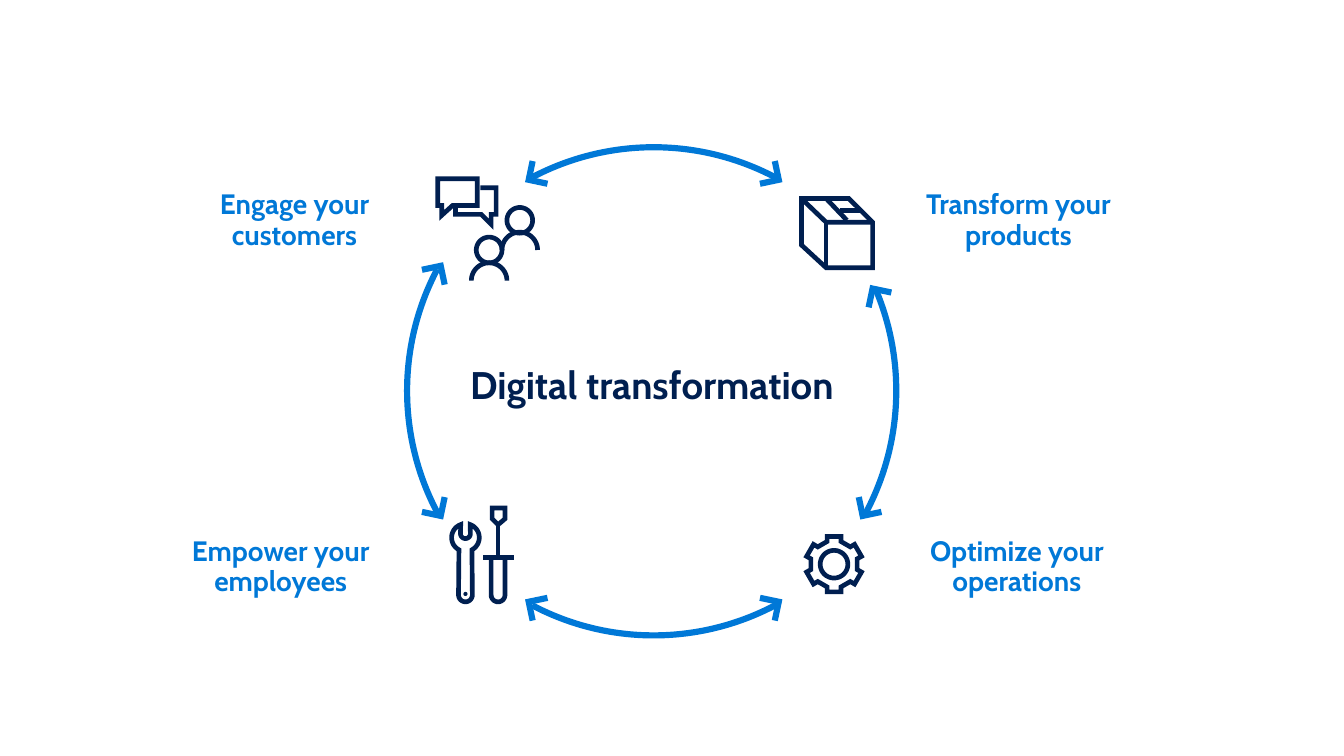
from math import cos, radians, sin

from lxml import etree
from pptx import Presentation
from pptx.dml.color import RGBColor
from pptx.enum.shapes import MSO_SHAPE
from pptx.enum.text import MSO_ANCHOR, MSO_AUTO_SIZE, PP_ALIGN
from pptx.oxml.ns import qn
from pptx.util import Inches, Pt

ARC = MSO_SHAPE.ARC
MIDDLE = MSO_ANCHOR.MIDDLE
CENTER = PP_ALIGN.CENTER
NO_FIT = MSO_AUTO_SIZE.NONE
COLORS = {"navy": "001F50", "blue": "0078D7"}
FONT = "Cabin"
TITLE_ONLY = 5
WIDTH, HEIGHT = 13.6, 7.65

deck = Presentation()
deck.slide_width, deck.slide_height = Inches(WIDTH), Inches(HEIGHT)
page = deck.slides.add_slide(deck.slide_layouts[TITLE_ONLY])


def arc_points(x, y, radius, start, end, step=6):
    """Points along a circular arc, in degrees clockwise from the right."""
    count = max(2, round(abs(end - start) / step))
    angles = [radians(start + (end - start) * i / count) for i in range(count + 1)]
    return [(x + radius * cos(a), y + radius * sin(a)) for a in angles]


def draw_outline(strokes, color, weight):
    """One unfilled shape made of (points, closed) strokes."""
    builder = None
    for points, closed in strokes:
        corners = [(Inches(x), Inches(y)) for x, y in points]
        if builder is None:
            builder = page.shapes.build_freeform(*corners[0])
        else:
            builder.move_to(*corners[0])
        builder.add_line_segments(corners[1:], close=closed)
    outline = builder.convert_to_shape()
    outline.shadow.inherit = False
    outline.fill.background()
    outline.line.color.rgb = RGBColor.from_string(COLORS[color])
    outline.line.width = Pt(weight)
    line_xml = outline.element.spPr.find(qn("a:ln"))
    etree.SubElement(line_xml, qn("a:miter"), lim="800000")


# Centre title and the four labels: text, left, top, width, height, size, color, insets
label_rows = (1.76, 5.27)
texts = [
    ("Digital transformation", 4.75, 3.34, 3.69, 1.16, 28, "navy", (0, 0)),
    ("Engage your customers", 1.78, label_rows[0], 2.4, 0.95, 20.4, "blue", (0.2, 0.16)),
    ("Empower your employees", 1.44, label_rows[1], 2.8, 0.95, 20.4, "blue", (0.2, 0.16)),
    ("Optimize your operations", 8.86, label_rows[1], 2.86, 0.95, 20.4, "blue", (0.2, 0.16)),
    ("Transform your products", 9.01, label_rows[0], 2.59, 0.95, 20.4, "blue", (0.2, 0.16)),
]
for text, left, top, width, height, size, color, (side, edge) in texts:
    place = [Inches(v) for v in (left, top, width, height)]
    is_title = color == "navy"
    box = page.shapes.title if is_title else page.shapes.add_textbox(*place)
    box.left, box.top, box.width, box.height = place
    frame = box.text_frame
    frame_format = {
        "word_wrap": not is_title, "auto_size": NO_FIT, "vertical_anchor": MIDDLE,
        "margin_left": Inches(side), "margin_right": Inches(side),
        "margin_top": Inches(edge), "margin_bottom": Inches(edge),
    }
    for name, value in frame_format.items():
        setattr(frame, name, value)
    para = frame.paragraphs[0]
    para.alignment, para.line_spacing = CENTER, 0.9
    span = para.add_run()
    span.text = text
    for name, value in {"name": FONT, "size": Pt(size), "bold": True}.items():
        setattr(span.font, name, value)
    span.font.color.rgb = RGBColor.from_string(COLORS[color])

# Ring of four arcs: left, top, start and end angle (0 to 360, clockwise from the right)
RING_SIZE = 5.27
ADJUSTMENT_PER_DEGREE = 0.6
ring_arcs = [
    (3.98, 1.49, 242.2, 298.6),
    (3.98, 1.16, 61.4, 117.8),
    (3.8, 1.32, 337, 28.6),
    (4.12, 1.32, 151.4, 207.8),
]
for left, top, start, end in ring_arcs:
    arc = page.shapes.add_shape(
        ARC, Inches(left), Inches(top), Inches(RING_SIZE), Inches(RING_SIZE))
    arc.shadow.inherit = False
    arc.fill.background()
    arc.line.color.rgb = RGBColor.from_string(COLORS["blue"])
    arc.line.width = Pt(4.5)
    for index, angle in enumerate((start, end)):
        arc.adjustments[index] = angle * ADJUSTMENT_PER_DEGREE

# Arrowheads: tip, side of the ring it faces (x, y), and whether its arc is a side arc
LONG, SHORT = 0.19, 0.04
arrow_tips = [
    (7.88, 1.82, 1, -1, False), (5.35, 1.82, -1, -1, False),
    (7.88, 6.09, 1, 1, False), (5.35, 6.09, -1, 1, False),
    (8.73, 5.22, 1, 1, True), (8.83, 2.92, 1, -1, True),
    (4.46, 5.22, -1, 1, True), (4.46, 2.69, -1, -1, True),
]
for x, y, face_x, face_y, on_side in arrow_tips:
    arms = [(-LONG, -SHORT), (-SHORT, LONG)]
    if on_side:
        arms = [(dy, dx) for dx, dy in arms]
    first, last = [(x + dx * face_x, y + dy * face_y) for dx, dy in arms]
    draw_outline([([first, (x, y), last], False)], "blue", 4.5)

# Customers: two people and two speech bubbles
people = []
for x, head_y, body_y in ((4.95, 2.53, 2.84), (5.26, 2.23, 2.53)):
    people.append((arc_points(x, head_y, 0.13, 0, 360), True))
    people.append((arc_points(x, body_y, 0.18, 180, 360), False))
front_bubble = [(4.43, 1.81), (4.83, 1.81), (4.83, 2.08), (4.58, 2.08),
                (4.47, 2.18), (4.47, 2.08), (4.43, 2.08)]
back_bubble = [(4.86, 1.9), (5.02, 1.9), (5.02, 2.17), (4.97, 2.17),
               (4.97, 2.27), (4.87, 2.17), (4.61, 2.17), (4.61, 2.1)]

# Products: parcel with its edges and tape
parcel = [
    ([(8.11, 2.01), (8.59, 2.01), (8.83, 2.25), (8.83, 2.71), (8.36, 2.71), (8.11, 2.48)], True),
    ([(8.11, 2.01), (8.36, 2.25), (8.83, 2.25)], False),
    ([(8.36, 2.25), (8.36, 2.71)], False),
    ([(8.37, 2.02), (8.57, 2.23)], False),
    ([(8.5, 2.13), (8.7, 2.13)], False),
]

# Operations: gear with six teeth
gear_x, gear_y = 8.44, 5.71
tooth = [(-0.07, -0.23), (-0.07, -0.28), (0.07, -0.28), (0.07, -0.23)]
gear_rim = []
for turn in range(0, 360, 60):
    c, s = cos(radians(turn)), sin(radians(turn))
    gear_rim += [(gear_x + dx * c - dy * s, gear_y + dx * s + dy * c) for dx, dy in tooth]
gear = [(gear_rim, True), (arc_points(gear_x, gear_y, 0.14, 0, 360), True)]

# Employees: wrench and screwdriver
wrench = (
    arc_points(4.71, 5.44, 0.14, -70, 62)
    + arc_points(4.71, 6.02, 0.07, 0, 180)
    + arc_points(4.71, 5.44, 0.14, 118, 250)
    + arc_points(4.71, 5.4, 0.05, 180, 0)
)
screwdriver = [
    ([(4.98, 5.14), (5.11, 5.14), (5.11, 5.25), (5.04, 5.31), (4.98, 5.25)], True),
    ([(5.04, 5.31), (5.04, 5.64)], False),
    ([(4.89, 5.64), (5.2, 5.64)], False),
    ([(4.97, 5.64)] + arc_points(5.04, 6.02, 0.07, 180, 0) + [(5.11, 5.64)], False),
]
wrench_hole = (arc_points(4.71, 6.01, 0.01, 0, 360, 30), True)

for icon in (people, [(front_bubble, True), (back_bubble, False)], parcel, gear,
             screwdriver, [(wrench, True)]):
    draw_outline(icon, "navy", 3.4)
draw_outline([wrench_hole], "navy", 1.5)

deck.save("out.pptx")
